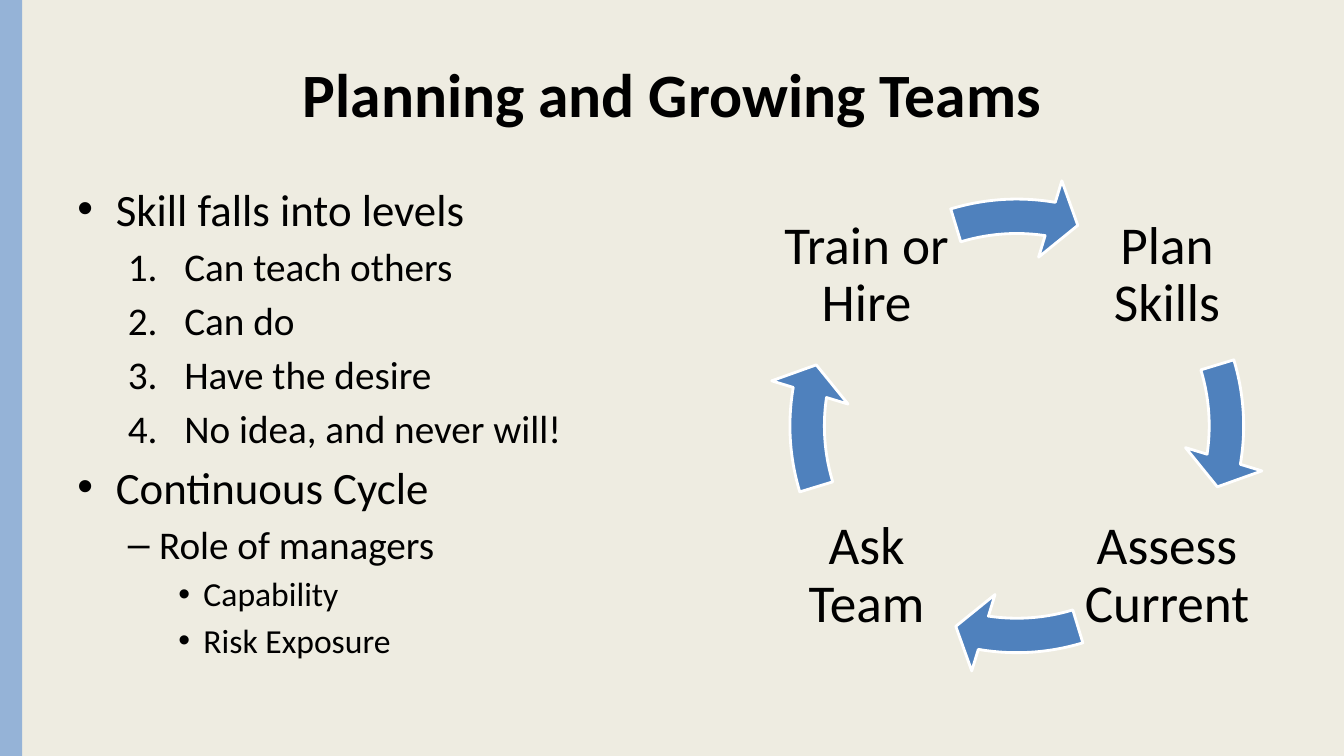
from lxml import etree
from pptx import Presentation
from pptx.dml.color import RGBColor
from pptx.enum.shapes import MSO_SHAPE
from pptx.enum.text import MSO_ANCHOR, PP_ALIGN
from pptx.oxml.ns import qn
from pptx.util import Inches, Pt

COLORS = {
    "background": "EEECE1",
    "stripe": "95B3D7",
    "arrow": "4F81BD",
    "outline": "FFFFFF",
    "text": "000000",
}


def rgb(name):
    return RGBColor.from_string(COLORS[name])


def style(p, size, bold=False):
    for r in p.runs:
        r.font.name = "Calibri"
        r.font.size = Pt(size)
        r.font.bold = bold
        r.font.color.rgb = rgb("text")


prs = Presentation()
prs.slide_width = Inches(13.33)
prs.slide_height = Inches(7.5)
s = prs.slides.add_slide(prs.slide_layouts[6])
s.background.fill.solid()
s.background.fill.fore_color.rgb = rgb("background")

stripe = s.shapes.add_shape(MSO_SHAPE.RECTANGLE, 0, 0, Inches(0.22), Inches(7.5))
stripe.shadow.inherit = False
stripe.fill.solid()
stripe.fill.fore_color.rgb = rgb("stripe")
stripe.line.fill.background()

title = s.shapes.add_textbox(Inches(0.67), Inches(0.3), Inches(12), Inches(1.25))
tf = title.text_frame
tf.word_wrap = True
tf.vertical_anchor = MSO_ANCHOR.MIDDLE
tf.text = "Planning and Growing Teams"
tf.paragraphs[0].alignment = PP_ALIGN.CENTER
style(tf.paragraphs[0], 44, bold=True)

# kind: level, size, left margin, hanging indent, bullet
KINDS = {
    "topic": (0, 32, 0.38, 0.38, "•"),
    "number": (1, 28, 1.06, 0.56, None),
    "dash": (1, 28, 0.81, 0.31, "–"),
    "detail": (2, 24, 1.25, 0.25, "•"),
}
OUTLINE = [
    ("topic", "Skill falls into levels"),
    ("number", "Can teach others"),
    ("number", "Can do"),
    ("number", "Have the desire"),
    ("number", "No idea, and never will!"),
    ("topic", "Continuous Cycle"),
    ("dash", "Role of managers"),
    ("detail", "Capability"),
    ("detail", "Risk Exposure"),
]
body = s.shapes.add_textbox(Inches(0.67), Inches(1.75), Inches(6.53), Inches(4.95))
tf = body.text_frame
tf.word_wrap = True
for i, (kind, text) in enumerate(OUTLINE):
    level, size, margin, hanging, bullet = KINDS[kind]
    p = tf.add_paragraph() if i else tf.paragraphs[0]
    p.text = text
    p.level = level
    if i:
        p.space_before = Pt(round(size * 0.18, 1))
    pPr = p._p.get_or_add_pPr()
    pPr.set("marL", str(Inches(margin)))
    pPr.set("indent", str(-Inches(hanging)))
    etree.SubElement(pPr, qn("a:buFont")).set("typeface", "Arial" if bullet else "+mj-lt")
    if bullet:
        etree.SubElement(pPr, qn("a:buChar")).set("char", bullet)
    else:
        etree.SubElement(pPr, qn("a:buAutoNum")).set("type", "arabicPeriod")
    style(p, size)

LEFT, RIGHT, TOP, BOTTOM = 7.72, 10.7, 1.86, 4.84
CYCLE = [
    ("Plan Skills", RIGHT, TOP),
    ("Assess Current", RIGHT, BOTTOM),
    ("Ask Team", LEFT, BOTTOM),
    ("Train or Hire", LEFT, TOP),
]
QUARTER, FULL = 54, 216
for i, (text, x, y) in enumerate(CYCLE):
    label = s.shapes.add_textbox(Inches(x), Inches(y), Inches(1.75), Inches(1.75))
    tf = label.text_frame
    tf.word_wrap = True
    tf.vertical_anchor = MSO_ANCHOR.MIDDLE
    tf.margin_left = tf.margin_right = tf.margin_top = tf.margin_bottom = Inches(0.05)
    tf.text = text
    p = tf.paragraphs[0]
    p.alignment = PP_ALIGN.CENTER
    p.line_spacing = 0.9
    style(p, 38)

    arrow = s.shapes.add_shape(
        MSO_SHAPE.CIRCULAR_ARROW, Inches(7.61), Inches(1.75), Inches(4.95), Inches(4.95))
    turn = i * QUARTER
    values = (0.069, 4.651, 5.504 + turn, (205.845 + turn) % FULL, 0.08)
    for n, value in enumerate(values):
        arrow.adjustments[n] = value
    arrow.shadow.inherit = False
    arrow.fill.solid()
    arrow.fill.fore_color.rgb = rgb("arrow")
    arrow.line.color.rgb = rgb("outline")
    arrow.line.width = Pt(2)

prs.save("out.pptx")
